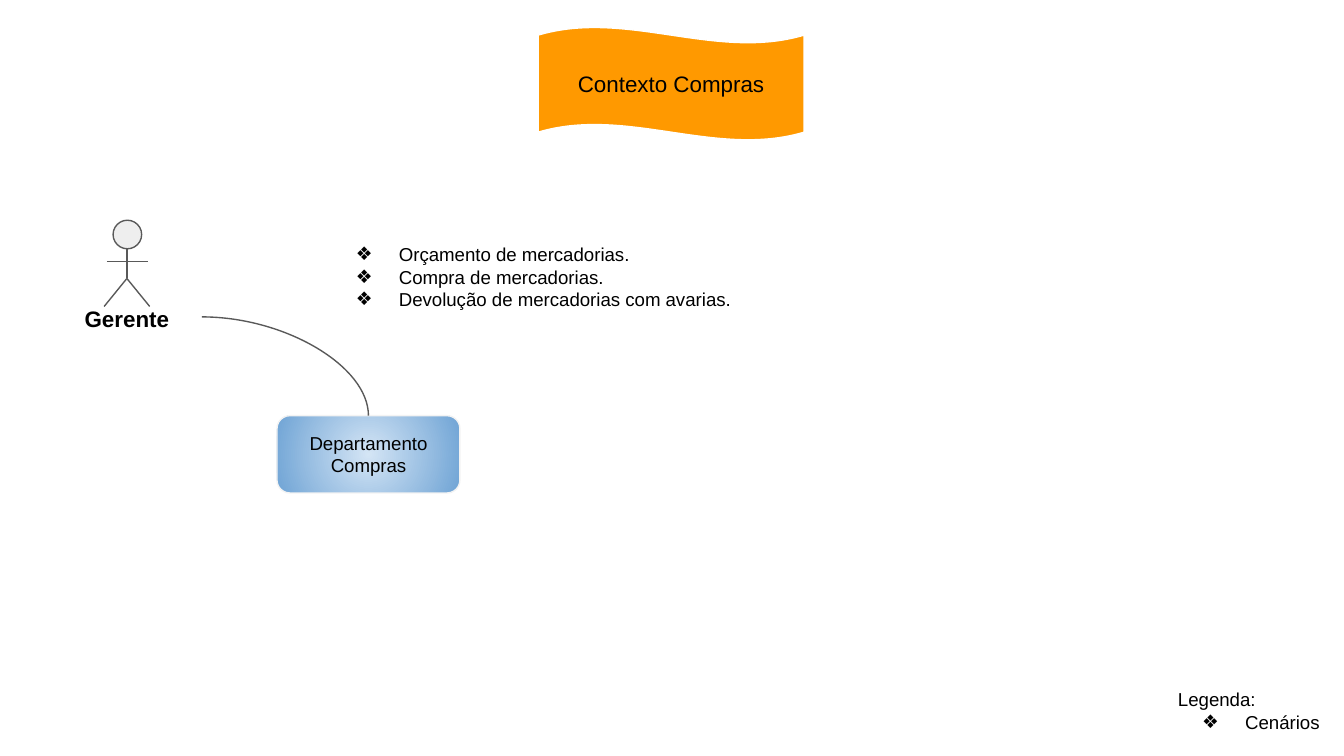
from dataclasses import dataclass

from lxml.etree import SubElement
from pptx import Presentation
from pptx.dml.color import RGBColor
from pptx.enum.shapes import MSO_CONNECTOR, MSO_SHAPE
from pptx.enum.text import MSO_ANCHOR, PP_ALIGN
from pptx.oxml.ns import qn
from pptx.util import Pt


@dataclass(frozen=True)
class Theme:
    font: str = "Arial"
    ink: str = "000000"
    edge: str = "595959"
    head: str = "EEEEEE"
    flag: str = "FF9900"
    white: str = "FFFFFF"
    rim: str = "F3F3F3"
    glow: tuple[str, str] = ("D4E5F5", "70A4D5")
    large: float = 12
    small: float = 10
    line: float = 0.74
    inset: float = 7.2


@dataclass(frozen=True)
class Box:
    left: float
    top: float
    width: float
    height: float

    def place(self) -> tuple:
        return Pt(self.left), Pt(self.top), Pt(self.width), Pt(self.height)


@dataclass(frozen=True)
class Limb:
    x1: float
    y1: float
    x2: float
    y2: float


@dataclass(frozen=True)
class Note:
    box: Box
    text: str
    first: int  # first line that takes a bullet


THEME = Theme()


def tint(code: str) -> RGBColor:
    return RGBColor.from_string(code)


# Text and bullets
def add_bullet(para) -> None:
    props = para._p.get_or_add_pPr()
    props.set("marL", str(Pt(36)))
    props.set("indent", str(-Pt(23)))
    color = SubElement(props, qn("a:buClr"))
    SubElement(color, qn("a:srgbClr"), val=THEME.ink)
    SubElement(props, qn("a:buFont"), typeface=THEME.font)
    SubElement(props, qn("a:buChar"), char="❖")


def write(shape, text: str, *, size: float = THEME.small, bold: bool = False,
          align=PP_ALIGN.LEFT, anchor=MSO_ANCHOR.TOP,
          first: int | None = None) -> None:
    frame = shape.text_frame
    frame.word_wrap = True
    frame.vertical_anchor = anchor
    frame.margin_left = frame.margin_right = Pt(THEME.inset)
    frame.margin_top = frame.margin_bottom = Pt(THEME.inset)
    frame.text = text
    for row, para in enumerate(frame.paragraphs):
        para.alignment = align
        if first is not None and row >= first:
            add_bullet(para)
        for run in para.runs:
            run.font.name = THEME.font
            run.font.size = Pt(size)
            run.font.bold = bold
            run.font.color.rgb = tint(THEME.ink)


# Shapes and lines
def add_form(parent, kind, box: Box, fill: str | tuple[str, str], edge: str):
    shape = parent.add_shape(kind, *box.place())
    shape.shadow.inherit = False
    shape.line.color.rgb = tint(edge)
    shape.line.width = Pt(THEME.line)
    if isinstance(fill, str):
        shape.fill.solid()
        shape.fill.fore_color.rgb = tint(fill)
        return shape
    shape.fill.gradient()
    for stop, code in zip(shape.fill.gradient_stops, fill):
        stop.color.rgb = tint(code)
    grad = shape.element.spPr.find(qn("a:gradFill"))
    grad.remove(grad.find(qn("a:lin")))
    radial = SubElement(grad, qn("a:path"), path="circle")
    SubElement(radial, qn("a:fillToRect"), l="50000", t="50000",
               r="50000", b="50000")
    return shape


def add_line(parent, limb: Limb, kind=MSO_CONNECTOR.STRAIGHT):
    line = parent.add_connector(kind, Pt(limb.x1), Pt(limb.y1),
                                Pt(limb.x2), Pt(limb.y2))
    line.line.color.rgb = tint(THEME.edge)
    line.line.width = Pt(THEME.line)
    SubElement(line.element.spPr, qn("a:effectLst"))
    return line


def add_actor(parent, name: str) -> None:
    actor = parent.add_group_shape().shapes
    add_form(actor, MSO_SHAPE.FLOWCHART_CONNECTOR, Box(60.6, 118, 15.3, 15.3),
             THEME.head, THEME.edge)
    mid, hip, foot = 68, 149.2, 164.2
    limbs = (
        Limb(mid, 133.3, mid, hip),
        Limb(57.3, 140.2, 79.3, 140.2),
        Limb(mid, hip, mid - 12.2, foot),
        Limb(mid, hip, mid + 12.2, foot),
    )
    for limb in limbs:
        add_line(actor, limb)
    label = actor.add_textbox(*Box(27.8, 156.5, 80.4, 26.6).place())
    write(label, name, size=THEME.large, bold=True, align=PP_ALIGN.CENTER)


deck = Presentation()
deck.slide_width, deck.slide_height = Pt(720), Pt(405)
shapes = deck.slides.add_slide(deck.slide_layouts[6]).shapes

# Title flag
flag = add_form(shapes, MSO_SHAPE.WAVE, Box(288.3, 14.6, 142.5, 60.5),
                THEME.flag, THEME.white)
flag.adjustments[0] = 0.07
flag.adjustments[1] = 0
write(flag, "Contexto Compras", size=THEME.large, align=PP_ALIGN.CENTER,
      anchor=MSO_ANCHOR.MIDDLE)

# Department
dept = add_form(shapes, MSO_SHAPE.ROUNDED_RECTANGLE,
                Box(148.4, 222.7, 98, 41.4), THEME.glow, THEME.rim)
write(dept, "Departamento Compras", align=PP_ALIGN.CENTER,
      anchor=MSO_ANCHOR.MIDDLE)

# Actor and its link to the department
add_actor(shapes, "Gerente")
link = add_line(shapes, Limb(108.2, 169.8, 197.4, 222.7), MSO_CONNECTOR.CURVE)
link.element.spPr.find(qn("a:prstGeom")).set("prst", "curvedConnector2")

# Scenarios and legend
notes = (
    Note(Box(170.6, 123.1, 239, 64.1),
         "Orçamento de mercadorias.\nCompra de mercadorias.\n"
         "Devolução de mercadorias com avarias.", 0),
    Note(Box(624, 361.4, 91.4, 37.4), "Legenda:\nCenários", 1),
)
for note in notes:
    write(shapes.add_textbox(*note.box.place()), note.text, first=note.first)

deck.save("out.pptx")
